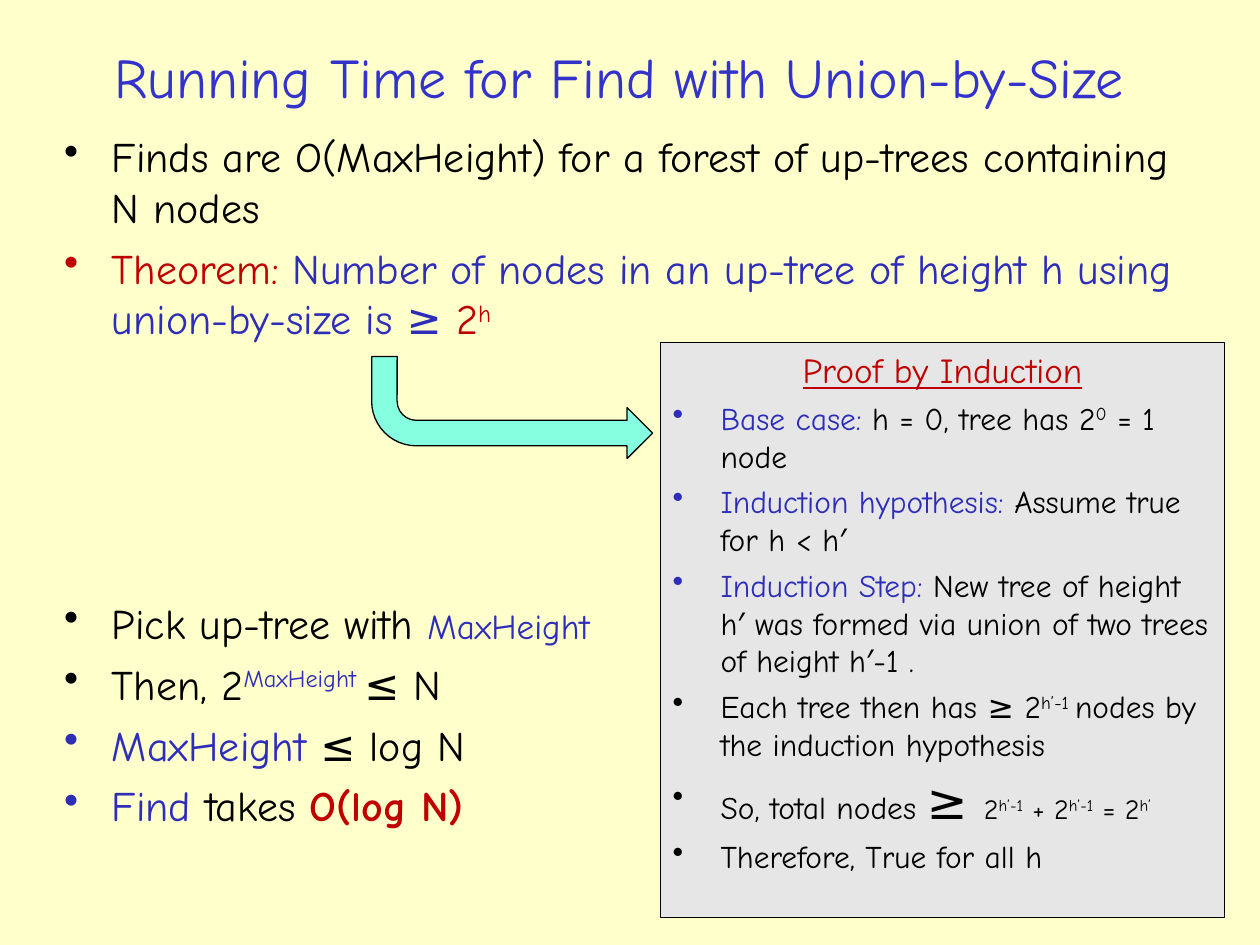
import pptx
import pptx.util
import pptx.dml.color
import pptx.enum.shapes
import pptx.enum.text
import pptx.oxml.ns
from lxml import etree

Inches = pptx.util.Inches
Pt = pptx.util.Pt
SHAPE = pptx.enum.shapes.MSO_SHAPE
ALIGN = pptx.enum.text.PP_ALIGN
ANCHOR = pptx.enum.text.MSO_ANCHOR

THEME = {
    "font": "Comic Neue",
    "back": "FFFFCC", "title": "3333CC", "ink": "000000", "blue": "2D2DB9",
    "red": "C00000", "panel": "E6E6E6", "arrow": "85FFE0",
    "head": 32, "body": 24, "name": 20, "proof": 18, "sign": 28, "sum": 16,
}

TITLE = [[("Running Time for Find with Union-by-Size", "title")]]
CLAIMS = [
    [("Finds are O(MaxHeight) for a forest of up-trees containing N nodes", "ink")],
    [("Theorem: ", "red"),
     ("Number of nodes in an up-tree of height h using union-by-size is ≥ ", "blue"),
     ("2", "red"), ("h", "red", "sup")],
]
BOUNDS = [
    [("Pick up-tree with ", "ink"), ("MaxHeight", "blue", "name")],
    [("Then, 2", "ink"), ("MaxHeight ", "blue", "sup"), ("≤ N", "ink")],
    [("MaxHeight", "blue"), (" ≤ log N", "ink")],
    [("Find", "blue"), (" takes ", "ink"), ("O(log N)", "red", "bold")],
]
PROOF = [
    [("Proof by Induction", "red", "name", "under")],
    [("Base case: ", "blue"), ("h = 0, tree has 2", "ink"), ("0", "ink", "sup"),
     (" = 1 node", "ink")],
    [("Induction hypothesis: ", "blue"), ("Assume true for h < h′", "ink")],
    [("Induction Step: ", "blue"),
     ("New tree of height h′ was formed via union of two trees of height h′-1 .", "ink")],
    [("Each tree then has ≥ 2", "ink"), ("h’-1 ", "ink", "sup"),
     ("nodes by the induction hypothesis", "ink")],
    [("So, total nodes ", "ink"), ("≥ ", "ink", "sign"),
     ("2", "ink", "sum"), ("h’-1", "ink", "sum", "sup"),
     (" + 2", "ink", "sum"), ("h’-1", "ink", "sum", "sup"),
     (" = 2", "ink", "sum"), ("h’", "ink", "sum", "sup")],
    [("Therefore, True for all h", "ink")],
]


def color(name):
    return pptx.dml.color.RGBColor.from_string(THEME[name])


def bullet(para, name):
    props = para._p.get_or_add_pPr()
    props.set("marL", str(Inches(0.38)))
    props.set("indent", str(-Inches(0.38)))
    tag = pptx.oxml.ns.qn
    tint = etree.SubElement(props, tag("a:buClr"))
    etree.SubElement(tint, tag("a:srgbClr"), val=THEME[name])
    etree.SubElement(props, tag("a:buChar"), char="•")


def write(frame, paras, size, gap=0, plain=0):
    frame.word_wrap = True
    for pos, parts in enumerate(paras):
        para = frame.add_paragraph() if pos else frame.paragraphs[0]
        if pos < plain:
            para.alignment = ALIGN.CENTER
        else:
            bullet(para, parts[0][1])
            para.alignment = ALIGN.LEFT
        para.space_before = Pt(gap if pos else 0)
        for text, tint, *marks in parts:
            run = para.add_run()
            run.text = text
            font = run.font
            font.name = THEME["font"]
            font.color.rgb = color(tint)
            sizes = [mark for mark in marks if mark in THEME]
            font.size = Pt(THEME[sizes[0] if sizes else size])
            if "bold" in marks:
                font.bold = True
            if "under" in marks:
                font.underline = True
            if "sup" in marks:
                run._r.get_or_add_rPr().set("baseline", "30000")


def shape(slide, kind, place, fill):
    item = slide.shapes.add_shape(kind, *map(Inches, place))
    item.shadow.inherit = False
    item.fill.solid()
    item.fill.fore_color.rgb = color(fill)
    item.line.color.rgb = color("ink")
    item.line.width = Pt(0.75)
    return item


def main():
    deck = pptx.Presentation()
    deck.slide_width, deck.slide_height = Inches(10), Inches(7.5)
    slide = deck.slides.add_slide(deck.slide_layouts[6])
    slide.background.fill.solid()
    slide.background.fill.fore_color.rgb = color("back")

    title = slide.shapes.add_textbox(*map(Inches, (0, 0.26, 9.83, 0.69))).text_frame
    title.vertical_anchor = ANCHOR.MIDDLE
    write(title, TITLE, "head", plain=1)

    for paras, top, wide, high in ((CLAIMS, 0.99, 9.25, 1.75), (BOUNDS, 4.69, 4.75, 2.48)):
        box = slide.shapes.add_textbox(*map(Inches, (0.41, top, wide, high)))
        write(box.text_frame, paras, "body", gap=6)

    panel = shape(slide, SHAPE.RECTANGLE, (5.24, 2.72, 4.48, 4.56), "panel")
    panel.text_frame.vertical_anchor = ANCHOR.TOP
    write(panel.text_frame, PROOF, "proof", gap=4.5, plain=1)

    arrow = shape(slide, SHAPE.BENT_ARROW, (2.95, 2.83, 2.23, 0.81), "arrow")
    arrow._element.spPr.xfrm.set("flipV", "1")

    deck.save("out.pptx")


if __name__ == "__main__":
    main()
